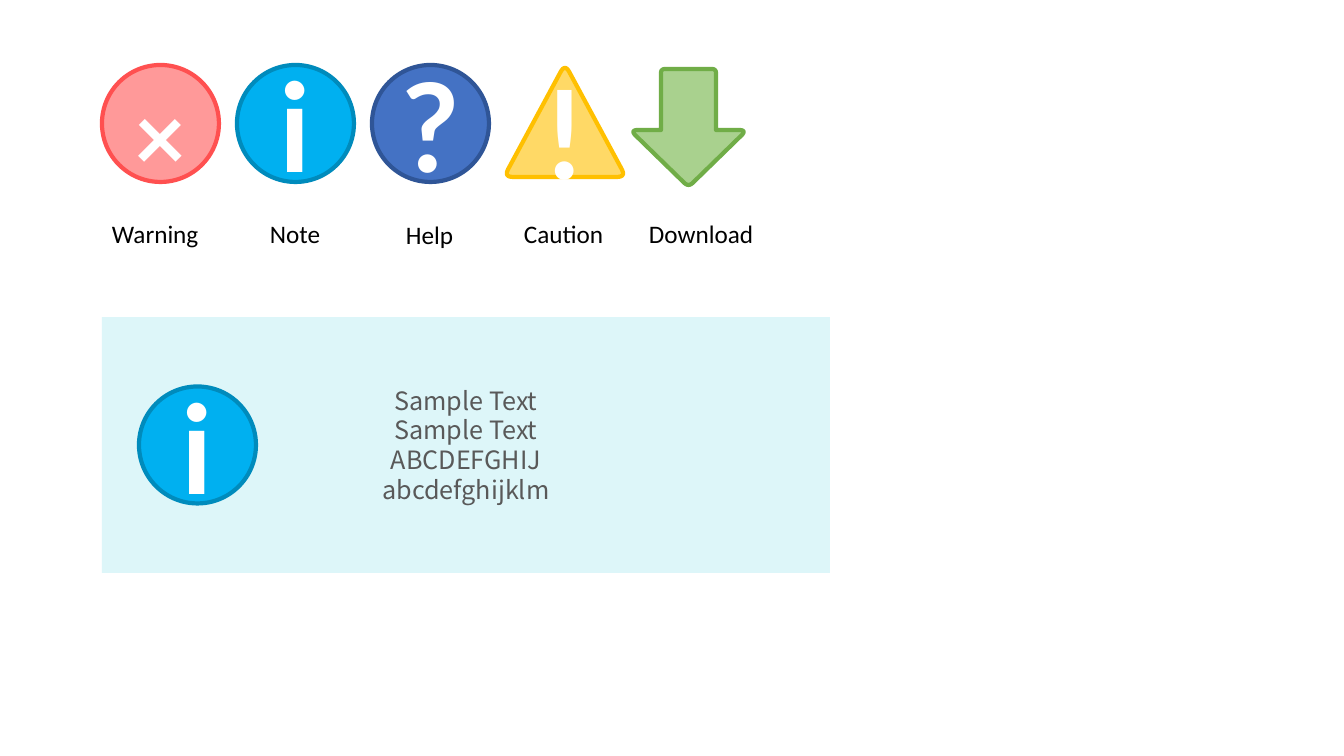
import pptx
import pptx.util
import pptx.dml.color
import pptx.enum.shapes
import pptx.enum.text

PX = 914400 / 100.8
COLORS = {
    "text": "000000", "symbol": "FFFFFF", "sample": "595959", "panel": "DDF6F9",
    "warning": "FF9999", "warning_edge": "FF5050",
    "note": "00B0F0", "note_edge": "008BBC",
    "help": "4472C4", "help_edge": "2F5597",
    "caution": "FFD966", "caution_edge": "FFC000",
    "download": "A9D18E", "download_edge": "70AD47",
}
SHAPES = pptx.enum.shapes.MSO_SHAPE
CENTER = pptx.enum.text.PP_ALIGN.CENTER
MIDDLE = pptx.enum.text.MSO_ANCHOR.MIDDLE
ICON_SIZE = 117
ICON_PITCH = 135


def emu(pixels):
    return pptx.util.Emu(round(pixels * PX))


def rgb(name):
    return pptx.dml.color.RGBColor.from_string(COLORS[name])


def apply_format(target, values):
    for name, value in values.items():
        setattr(target, name, value)


def paint(shape, fill, edge=None):
    shape.shadow.inherit = False
    shape.fill.solid()
    shape.fill.fore_color.rgb = rgb(fill)
    if edge:
        shape.line.color.rgb = rgb(edge)
        shape.line.width = pptx.util.Pt(3)
    else:
        shape.line.fill.background()


def write(shape, lines, color, font, paragraph_format):
    for index, line in enumerate(lines):
        frame = shape.text_frame
        paragraph = frame.paragraphs[0] if index == 0 else frame.add_paragraph()
        apply_format(paragraph, paragraph_format)
        run = paragraph.add_run()
        run.text = line
        apply_format(run.font, font)
        run.font.color.rgb = rgb(color)


def write_symbol(shape, symbol, size=88, spacing=1.0):
    apply_format(shape.text_frame, {"word_wrap": True, "vertical_anchor": MIDDLE})
    font = {"name": "Lato", "size": pptx.util.Pt(size), "bold": True}
    write(shape, [symbol], "symbol", font, {"alignment": CENTER, "line_spacing": spacing})


def round_icon(slide, left, top, kind, symbol, **text_format):
    disc = slide.shapes.add_shape(
        SHAPES.OVAL, emu(left), emu(top), emu(ICON_SIZE), emu(ICON_SIZE))
    paint(disc, kind, kind + "_edge")
    write_symbol(disc, symbol, **text_format)


def toward(start, end, distance):
    dx, dy = end[0] - start[0], end[1] - start[1]
    share = distance / (dx * dx + dy * dy) ** 0.5
    return start[0] + dx * share, start[1] + dy * share


def rounded_outline(corners, steps=8):
    points = []
    for index, (x, y, radius) in enumerate(corners):
        if not radius:
            points.append((x, y))
            continue
        before = toward((x, y), corners[index - 1], radius)
        after = toward((x, y), corners[(index + 1) % len(corners)], radius)
        for step in range(steps + 1):
            t = step / steps
            points.append(tuple(
                (1 - t) ** 2 * a + 2 * t * (1 - t) * b + t * t * c
                for a, b, c in zip(before, (x, y), after)))
    return points


def outline_icon(slide, left, top, kind, corners):
    points = [(emu(left + x), emu(top + y)) for x, y in rounded_outline(corners)]
    builder = slide.shapes.build_freeform(*points[0], scale=1.0)
    builder.add_line_segments(points[1:], close=True)
    icon = builder.convert_to_shape()
    paint(icon, kind, kind + "_edge")
    return icon


def icon_row(slide, left, top):
    discs = [
        ("warning", "×", {"size": 66, "spacing": 1.2}),
        ("note", "i", {}),
        ("help", "?", {}),
    ]
    for column, (kind, symbol, text_format) in enumerate(discs):
        round_icon(slide, left + column * ICON_PITCH, top, kind, symbol, **text_format)

    triangle = [(61, 0, 9), (122, 113, 9), (0, 113, 9)]
    caution = outline_icon(slide, left + 402, top - 1, "caution", triangle)
    write_symbol(caution, "!", spacing=1.1)

    arrow = [(31, 0, 4), (86, 0, 4), (86, 61, 0), (117, 61, 8),
             (58.5, 118, 6), (0, 61, 8), (31, 61, 0)]
    outline_icon(slide, left + 528, top + 4, "download", arrow)

    labels = [("Warning", 0, 148, 108), ("Note", 158, 148, 72), ("Help", 294, 149, 69),
              ("Caution", 412, 148, 101), ("Download", 537, 148, 126)]
    for name, x, y, width in labels:
        label = slide.shapes.add_textbox(emu(left + x), emu(top + y), emu(width), emu(40))
        label.text_frame.word_wrap = False
        write(label, [name], "text", {"name": "Calibri", "size": pptx.util.Pt(18)}, {})


def note_panel(slide, left, top, width, height):
    panel = slide.shapes.add_shape(
        SHAPES.RECTANGLE, emu(left), emu(top), emu(width), emu(height))
    paint(panel, "panel")
    apply_format(panel.text_frame, {"word_wrap": True, "vertical_anchor": MIDDLE})
    write(panel, ["Sample Text", "Sample Text", "ABCDEFGHIJ", "abcdefghijklm"], "sample",
          {"name": "Noto Sans CJK JP", "size": pptx.util.Pt(18)},
          {"alignment": CENTER, "line_spacing": pptx.util.Pt(21.4)})
    round_icon(slide, left + 37, top + (height - ICON_SIZE) / 2, "note", "i")


deck = pptx.Presentation()
apply_format(deck, {"slide_width": emu(1344), "slide_height": emu(756)})
icons_slide = deck.slides.add_slide(deck.slide_layouts[6])
icon_row(icons_slide, 102, 65)
note_panel(icons_slide, 102, 317, 728, 256)
deck.save("out.pptx")
